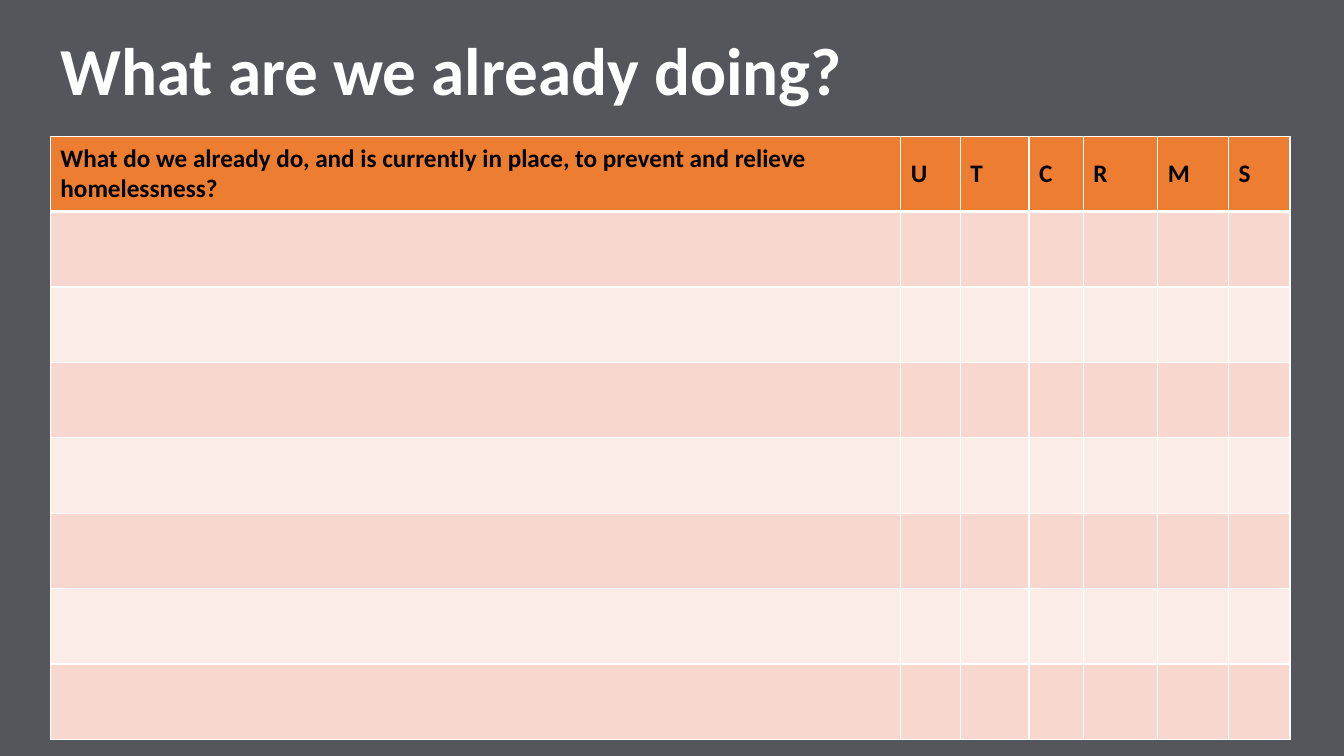
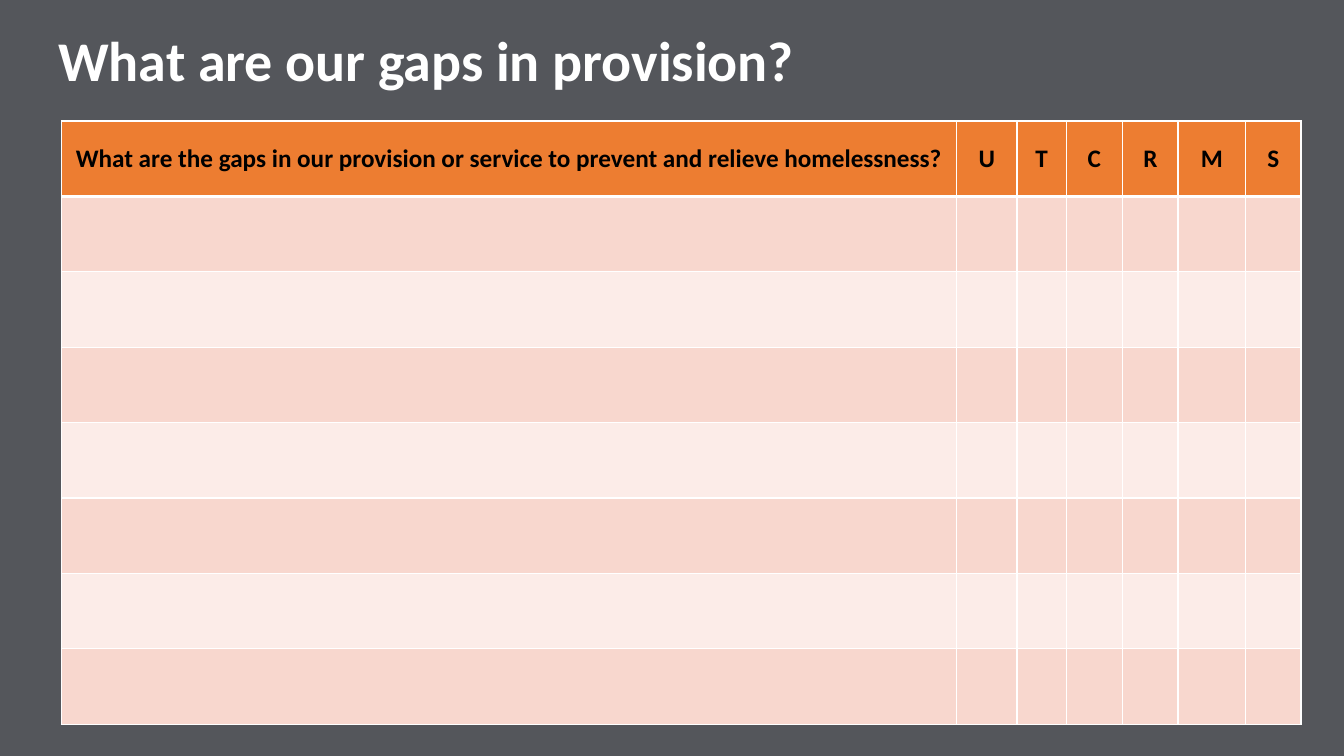
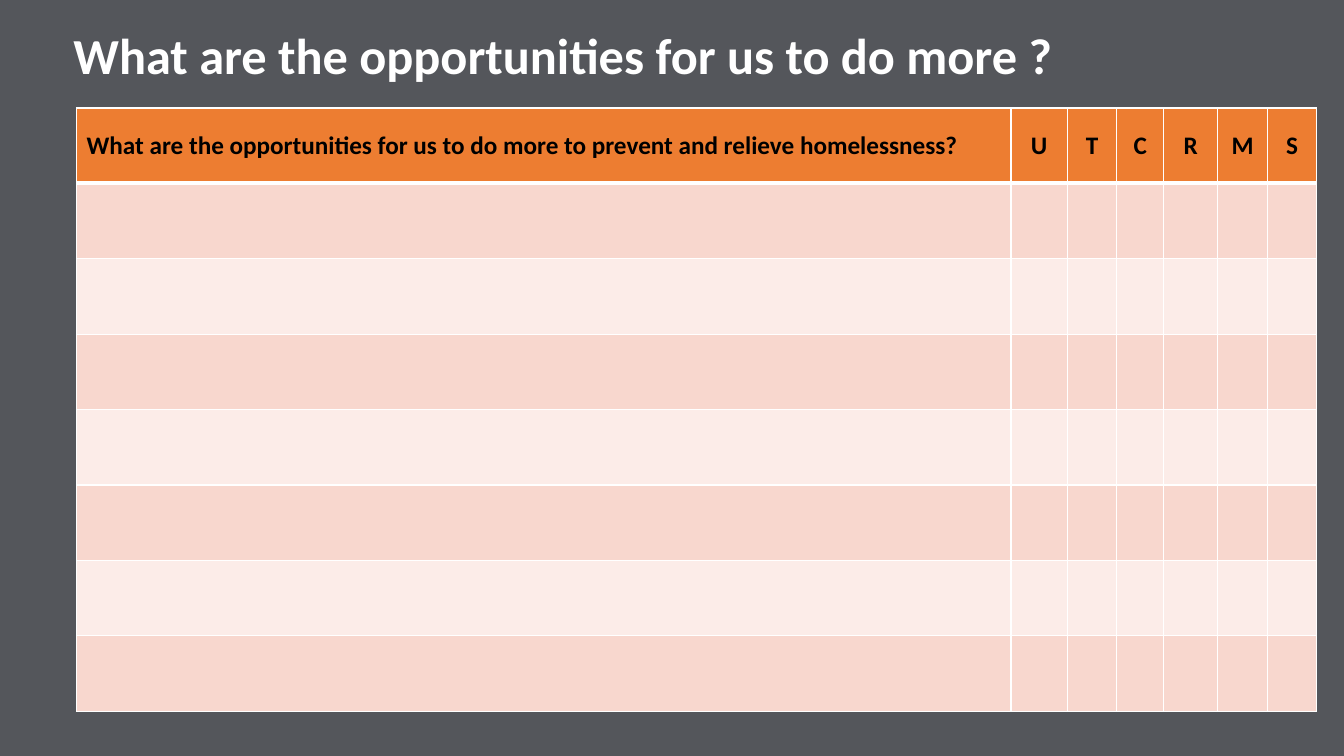
"""Three blank worksheets for reviewing homelessness provision."""
import pptx
import pptx.dml.color
import pptx.enum.text
import pptx.oxml
import pptx.oxml.ns
import pptx.util

Cm = pptx.util.Cm
Pt = pptx.util.Pt
LEFT = pptx.enum.text.PP_ALIGN.LEFT
CENTER = pptx.enum.text.PP_ALIGN.CENTER


def colour(hex_string):
    return pptx.dml.color.RGBColor.from_string(hex_string)


class Worksheet:
    FONT = "Calibri"
    BACKGROUND = "54565B"
    WHITE = "FFFFFF"
    BLACK = "000000"
    HEADER = "ED7D31"
    BANDS = ("F8D7CE", "FCECE8")
    CRITERIA = "UTCRMS"
    TABLE_WIDTH = 31.24
    ROW_HEIGHT = 1.9
    ROW_COUNT = 8

    def __init__(self):
        self.deck = pptx.Presentation()
        self.deck.slide_width = Cm(33.87)
        self.deck.slide_height = Cm(19.05)
        backdrop = self.deck.slide_master.background.fill
        backdrop.solid()
        backdrop.fore_color.rgb = colour(self.BACKGROUND)
        self.slide = None

    def new_slide(self):
        self.slide = self.deck.slides.add_slide(self.deck.slide_layouts[6])

    def add_text(self, paragraph, wording, size, ink):
        run = paragraph.add_run()
        run.text = wording
        run.font.name = self.FONT
        run.font.size = Pt(size)
        run.font.bold = True
        run.font.color.rgb = colour(ink)

    def title(self, wording, place, size, spacing):
        heading = self.slide.shapes.add_textbox(*map(Cm, place)).text_frame
        heading.word_wrap = True
        heading.vertical_anchor = pptx.enum.text.MSO_ANCHOR.BOTTOM
        heading.paragraphs[0].line_spacing = spacing
        self.add_text(heading.paragraphs[0], wording, size, self.WHITE)

    def borders(self, cell, top, bottom):
        properties = cell._tc.get_or_add_tcPr()
        for side, points in (("L", 1), ("R", 1), ("T", top), ("B", bottom)):
            properties.append(pptx.oxml.parse_xml(
                f'<a:ln{side} {pptx.oxml.ns.nsdecls("a")} w="{Pt(points)}">'
                f'<a:solidFill><a:srgbClr val="{self.WHITE}"/></a:solidFill>'
                f'</a:ln{side}>'))

    def paint(self, cell, row):
        self.borders(cell, 3 if row == 1 else 1, 3 if row == 0 else 1)
        cell.fill.solid()
        shade = self.BANDS[(row - 1) % 2] if row else self.HEADER
        cell.fill.fore_color.rgb = colour(shade)

    def table(self, question, left, top, criteria_widths,
              question_align, criteria_align):
        headings = [question, *self.CRITERIA]
        widths = [self.TABLE_WIDTH - sum(criteria_widths), *criteria_widths]
        grid = self.slide.shapes.add_table(
            self.ROW_COUNT, len(headings), Cm(left), Cm(top),
            Cm(self.TABLE_WIDTH), Cm(self.ROW_HEIGHT * self.ROW_COUNT)).table
        for column, width in zip(grid.columns, widths):
            column.width = Cm(width)
        for row in range(self.ROW_COUNT):
            for column in range(len(headings)):
                self.paint(grid.cell(row, column), row)
        for column, heading in enumerate(headings):
            cell = grid.cell(0, column)
            cell.vertical_anchor = pptx.enum.text.MSO_ANCHOR.MIDDLE
            paragraph = cell.text_frame.paragraphs[0]
            paragraph.alignment = criteria_align if column else question_align
            self.add_text(paragraph, heading, 18, self.BLACK)


def main():
    sheet = Worksheet()

    sheet.new_slide()
    sheet.table("What do we already do, and is currently in place, "
                "to prevent and relieve homelessness?",
                1.27, 3.43, (1.5, 1.73, 1.37, 1.88, 1.78, 1.55), LEFT, LEFT)
    sheet.title("What are we already doing?",
                (1.27, 0.76, 24.64, 2.13), 48, 0.9)

    sheet.new_slide()
    sheet.table("What are the gaps in our provision or service "
                "to prevent and relieve homelessness?",
                1.55, 3.05, (1.52, 1.24, 1.42, 1.4, 1.7, 1.4), CENTER, CENTER)
    sheet.title("What are our gaps in provision?",
                (1.22, 0.76, 24.64, 1.68), 40, 0.8)

    sheet.new_slide()
    sheet.table("What are the opportunities for us to do more "
                "to prevent and relieve homelessness?",
                1.93, 2.72, (1.42, 1.24, 1.19, 1.35, 1.27, 1.22), LEFT, CENTER)
    sheet.title("What are the opportunities for us to do more ?",
                (1.6, 0.38, 30.3, 1.9), 36, 0.9)

    sheet.deck.save("out.pptx")


if __name__ == "__main__":
    main()
